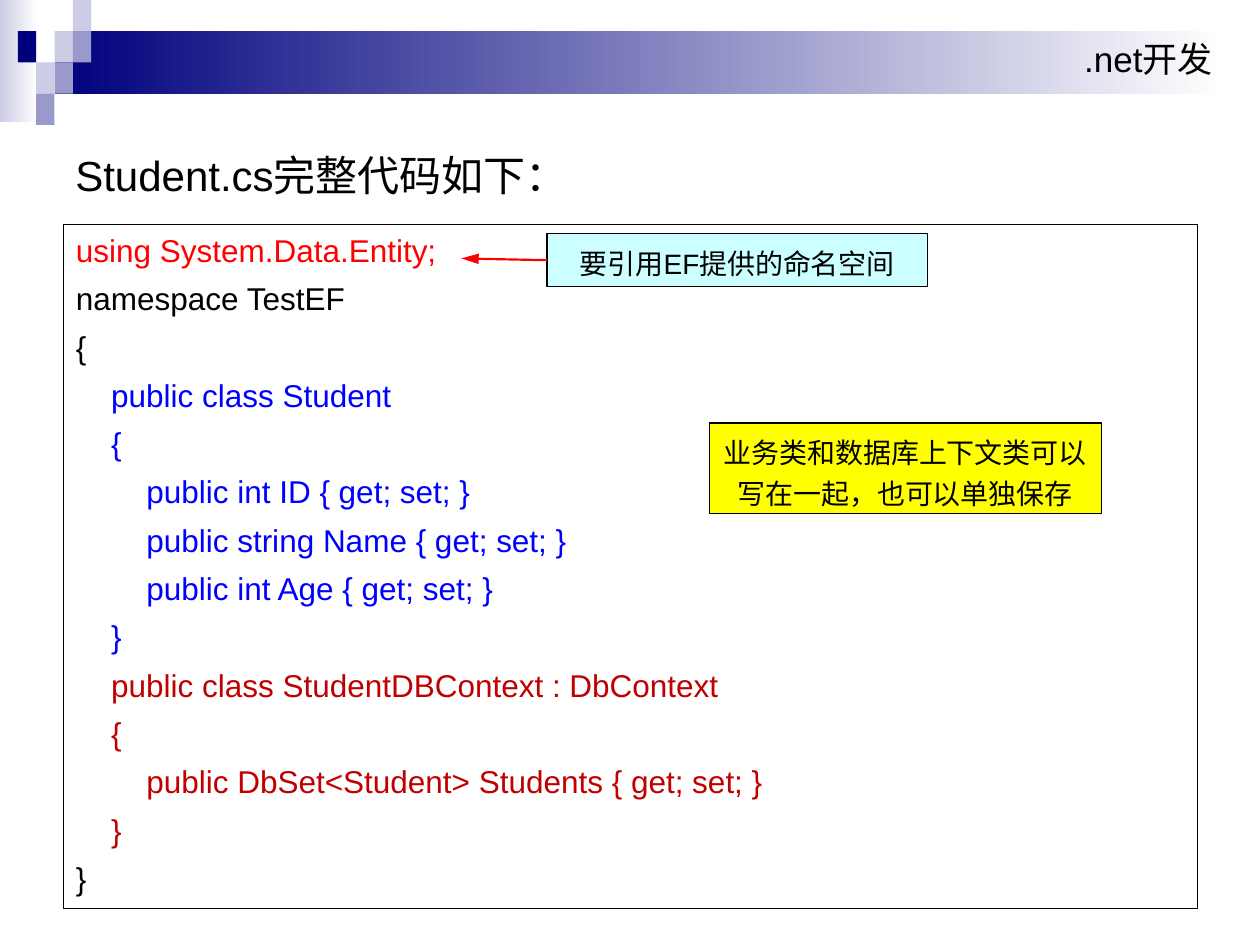
from dataclasses import dataclass
from typing import NamedTuple, Optional

from lxml import etree
from pptx import Presentation
from pptx.dml.color import RGBColor as Rgb
from pptx.enum.shapes import MSO_CONNECTOR as Link, MSO_SHAPE as Kind
from pptx.enum.text import MSO_ANCHOR as Anchor, MSO_AUTO_SIZE as Fit, PP_ALIGN as Align
from pptx.oxml.ns import qn
from pptx.util import Cm, Pt


@dataclass(frozen=True)
class Theme:
    font: str = "Arial"
    black: str = "000000"
    white: str = "FFFFFF"
    navy: str = "00007D"
    mid: str = "9999CC"
    pale: str = "CCCCE6"
    red: str = "FF0000"
    blue: str = "0000FF"
    dark: str = "C00000"
    yellow: str = "FFFF00"
    cyan: str = "CCFFFF"
    title: float = 24
    head: float = 20
    code: float = 18
    note: float = 16


class Box(NamedTuple):
    left: float
    top: float
    width: float
    height: float


class Tile(NamedTuple):
    col: int
    row: int
    color: str


class Line(NamedTuple):
    text: str
    level: int
    color: str


class Note(NamedTuple):
    text: str
    box: Box
    fill: str


T = Theme()
COL, ROW = 0.37, 0.63   # tile grid
TAB = 0.71              # one code level

BAR = Box(1.1, ROW, 23.6, 1.27)
TILES = [
    Tile(2, 1, T.pale), Tile(3, 0, T.pale), Tile(3, 1, T.mid), Tile(1, 2, T.pale),
    Tile(0, 1, T.navy), Tile(2, 2, T.mid), Tile(1, 3, T.mid),
]
CODE = [
    Line("using System.Data.Entity;", 0, T.red),
    Line("namespace TestEF", 0, T.black),
    Line("{", 0, T.black),
    Line("public class Student", 1, T.blue),
    Line("{", 1, T.blue),
    Line("public int ID { get; set; }", 2, T.blue),
    Line("public string Name { get; set; }", 2, T.blue),
    Line("public int Age { get; set; }", 2, T.blue),
    Line("}", 1, T.blue),
    Line("public class StudentDBContext : DbContext", 1, T.dark),
    Line("{", 1, T.dark),
    Line("public DbSet<Student> Students { get; set; }", 2, T.dark),
    Line("}", 1, T.dark),
    Line("}", 0, T.black),
]
NOTES = [
    Note("业务类和数据库上下文类可以写在一起，也可以单独保存",
         Box(14.3, 8.53, 7.9, 1.83), T.yellow),
    Note("要引用EF提供的命名空间", Box(11.03, 4.71, 7.67, 1.07), T.cyan),
]


def add_rect(slide, box: Box, fill: Optional[str] = None,
             fade: Optional[str] = None, line: Optional[str] = None):
    """Draw a rectangle, plain or fading from fill to fade."""
    shape = slide.shapes.add_shape(Kind.RECTANGLE, *map(Cm, box))
    shape.shadow.inherit = False
    if fade:
        shape.fill.gradient()
        shape.fill.gradient_angle = 0
        for stop, color in zip(shape.fill.gradient_stops, (fill, fade)):
            stop.color.rgb = Rgb.from_string(color)
    elif fill:
        shape.fill.solid()
        shape.fill.fore_color.rgb = Rgb.from_string(fill)
    else:
        shape.fill.background()
    if line:
        shape.line.color.rgb = Rgb.from_string(line)
        shape.line.width = Pt(0.75)
    else:
        shape.line.fill.background()
    return shape


def put_text(shape, text: str, *, size: float, color: str = T.black,
             align=Align.LEFT, anchor=Anchor.TOP, space: Optional[float] = None,
             after: float = 0, level: int = 0, more: bool = False) -> None:
    """Write one paragraph; with more set, add it below the others."""
    frame = shape.text_frame
    frame.word_wrap = True
    frame.vertical_anchor = anchor
    para = frame.add_paragraph() if more else frame.paragraphs[0]
    para.alignment = align
    para.line_spacing = space
    para.space_after = Pt(after)
    if level:
        para._p.get_or_add_pPr().set("marL", str(Cm(TAB * level)))
    run = para.add_run()
    run.text = text
    run.font.name = T.font
    run.font.size = Pt(size)
    run.font.color.rgb = Rgb.from_string(color)


def add_note(slide, note: Note):
    shape = add_rect(slide, note.box, note.fill, line=T.black)
    put_text(shape, note.text, size=T.note, align=Align.CENTER, space=1.2)
    shape.text_frame.auto_size = Fit.SHAPE_TO_FIT_TEXT
    return shape


def add_arrow(slide, start, left: float, top: float) -> None:
    """Point from the left side of a shape to a place."""
    end = Cm(left), Cm(top)
    arrow = slide.shapes.add_connector(Link.STRAIGHT, *end, *end)
    arrow.begin_connect(start, 1)
    arrow.line.color.rgb = Rgb.from_string(T.red)
    arrow.line.width = Pt(1.25)
    tail = etree.SubElement(arrow.line._get_or_add_ln(), qn("a:tailEnd"))
    tail.set("type", "triangle")
    tail.set("len", "lg")
    etree.SubElement(arrow._element.spPr, qn("a:effectLst"))


def main() -> None:
    deck = Presentation()
    deck.slide_width, deck.slide_height = Cm(25.4), Cm(19.05)
    slide = deck.slides.add_slide(deck.slide_layouts[6])

    # Header band and tiles
    add_rect(slide, Box(0, 0, 0.76, 2.46), T.pale, T.white)
    bar = add_rect(slide, BAR, T.navy, T.white)
    put_text(bar, ".net开发", size=T.head, align=Align.RIGHT)
    for tile in TILES:
        spot = Box(0.36 + COL * tile.col, ROW * tile.row, COL, ROW)
        add_rect(slide, spot, tile.color)

    # Title
    title = slide.shapes.add_textbox(Cm(1.27), Cm(2.53), Cm(22.86), Cm(1.8))
    put_text(title, "Student.cs完整代码如下：", size=T.title,
             anchor=Anchor.MIDDLE, space=1.2)

    # Code listing
    code = add_rect(slide, Box(1.28, 4.53, 22.86, 13.79), line=T.black)
    for i, line in enumerate(CODE):
        put_text(code, line.text, size=T.code, color=line.color,
                 after=6, level=line.level, more=i > 0)

    # Notes and arrow
    _, usage = [add_note(slide, note) for note in NOTES]
    add_arrow(slide, usage, 9.3, 5.21)

    deck.save("out.pptx")


if __name__ == "__main__":
    main()
